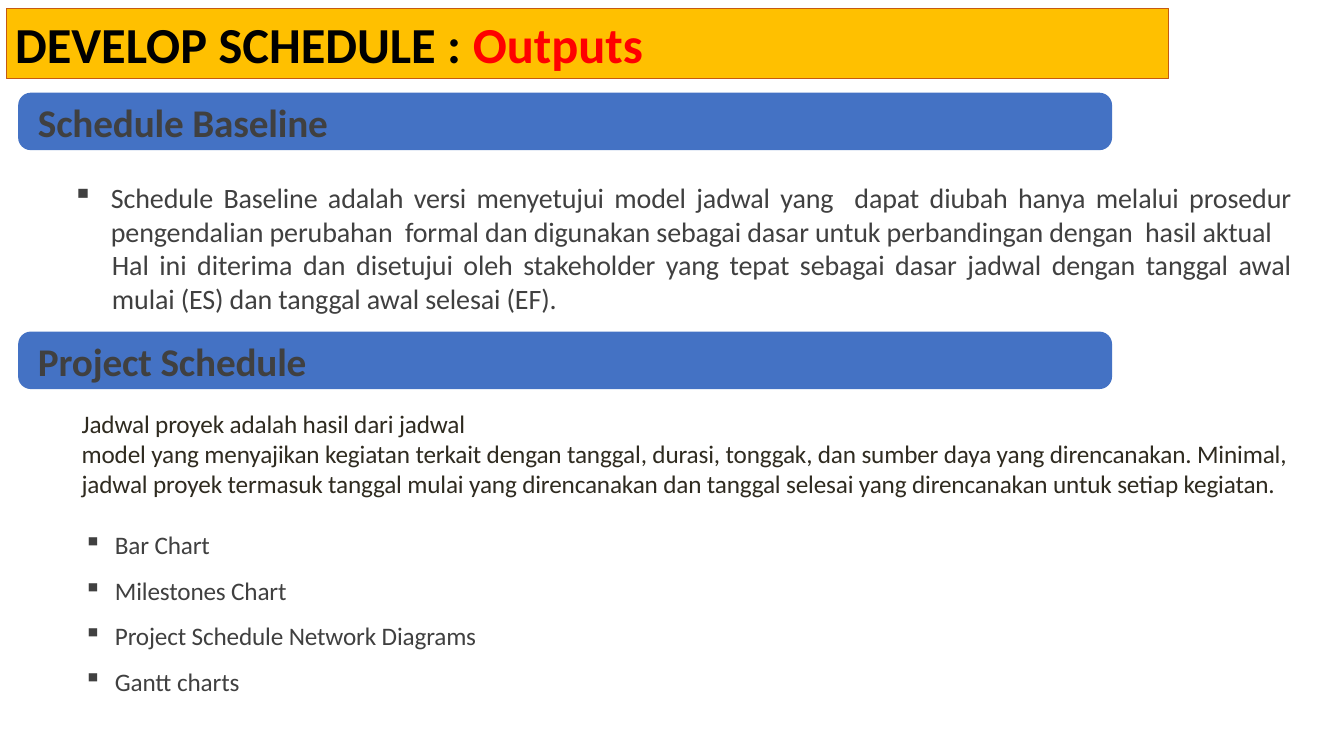
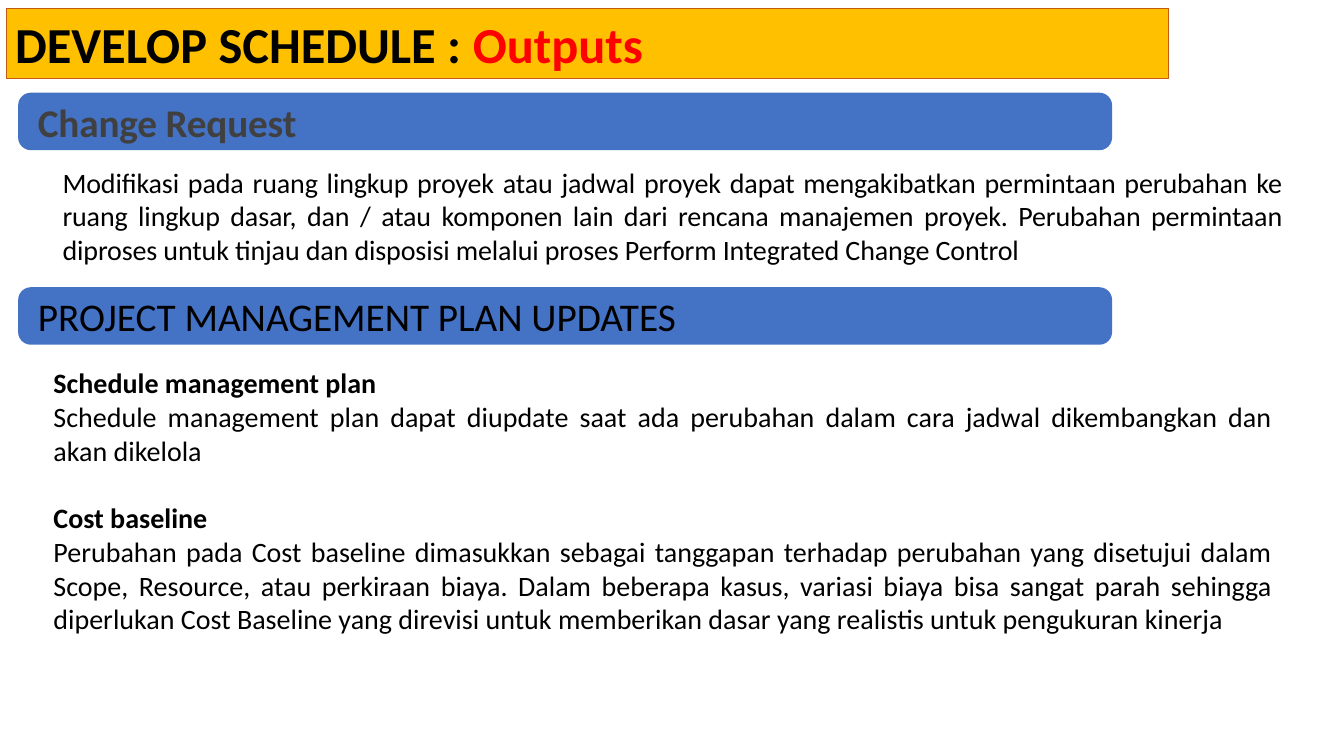
from lxml import etree
from pptx import Presentation
from pptx.dml.color import RGBColor
from pptx.enum.shapes import MSO_SHAPE
from pptx.enum.text import MSO_ANCHOR, MSO_AUTO_SIZE, PP_ALIGN
from pptx.oxml.ns import qn
from pptx.util import Inches, Pt

LEFT, JUSTIFY = PP_ALIGN.LEFT, PP_ALIGN.JUSTIFY
TOP, MIDDLE = MSO_ANCHOR.TOP, MSO_ANCHOR.MIDDLE
ROUNDED = MSO_SHAPE.ROUNDED_RECTANGLE
NO_AUTOFIT = MSO_AUTO_SIZE.NONE

FONT = "Calibri"
AMBER, RUST, BLUE, RED = "FFC000", "C55A11", "4472C4", "FF0000"
BLACK, GRAY, BROWN = "000000", "404040", "2F2B20"
TITLE = [("DEVELOP SCHEDULE : ", BLACK), ("Outputs", RED)]
BAND_LEFT, BAND_WIDTH, BAND_HEIGHT = 0.18, 10.85, 0.57


def color(value):
    return RGBColor.from_string(value)


def format_span(span, size, fill, bold=False, tight=True):
    span.font.name = FONT
    span.font.size = Pt(size)
    span.font.bold = bold
    span.font.color.rgb = color(fill)
    if tight:
        span._r.get_or_add_rPr().set("spc", "-10")


slides = [
    {
        "bands": [
            (0.92, "Schedule Baseline", GRAY, True),
            (3.29, "Project Schedule", GRAY, True),
        ],
        "bodies": [
            {
                "at": (0.71, 1.79, 12.09, 1.35), "size": 20, "align": JUSTIFY,
                "paragraphs": [
                    {"text": "Schedule Baseline adalah versi menyetujui model jadwal yang  dapat "
                             "diubah hanya melalui prosedur pengendalian perubahan  formal dan "
                             "digunakan sebagai dasar untuk perbandingan dengan  hasil aktual",
                     "color": GRAY, "indent": 0.39, "hang": 0.38},
                    {"text": "Hal ini diterima dan disetujui oleh stakeholder yang tepat sebagai "
                             "dasar jadwal dengan tanggal awal mulai (ES) dan tanggal awal "
                             "selesai (EF).",
                     "color": GRAY, "indent": 0.4},
                ],
            },
            {
                "at": (0.81, 4.05, 12.11, 3.19), "size": 18, "align": LEFT,
                "paragraphs": [
                    {"text": "Jadwal proyek adalah hasil dari jadwal", "color": BROWN},
                    {"text": "model yang menyajikan kegiatan terkait dengan tanggal, durasi, "
                             "tonggak, dan sumber daya yang direncanakan. Minimal, jadwal proyek "
                             "termasuk tanggal mulai yang direncanakan dan tanggal selesai yang "
                             "direncanakan untuk setiap kegiatan.",
                     "color": BROWN},
                ] + [
                    {"text": text, "color": GRAY, "indent": 0.33, "hang": 0.31, "before": before}
                    for text, before in [
                        ("Bar Chart", 22),
                        ("Milestones Chart", 10.8),
                        ("Project Schedule Network Diagrams", 10.8),
                        ("Gantt charts", 10.8),
                    ]
                ],
            },
        ],
    },
    {
        "bands": [
            (0.92, "Change Request", GRAY, True),
            (2.85, "PROJECT MANAGEMENT PLAN UPDATES", BLACK, False),
        ],
        "bodies": [
            {
                "at": (0.62, 1.64, 12.09, 1.01), "size": 20, "align": JUSTIFY,
                "paragraphs": [
                    {"text": "Modifikasi pada ruang lingkup proyek atau jadwal proyek dapat "
                             "mengakibatkan permintaan perubahan ke ruang lingkup dasar, dan / "
                             "atau komponen lain dari rencana manajemen proyek. Perubahan "
                             "permintaan diproses untuk tinjau dan disposisi melalui proses "
                             "Perform Integrated Change Control"},
                ],
            },
            {
                "at": (0.53, 3.63, 12.09, 2.69), "size": 20, "align": JUSTIFY, "tight": False,
                "paragraphs": [
                    {"text": "Schedule management plan", "bold": True},
                    {"text": "Schedule management plan dapat diupdate saat ada perubahan dalam "
                             "cara jadwal dikembangkan dan akan dikelola"},
                    {"text": "Cost baseline", "bold": True, "before": 24.4},
                    {"text": "Perubahan pada Cost baseline dimasukkan sebagai tanggapan terhadap "
                             "perubahan yang disetujui dalam Scope, Resource, atau perkiraan "
                             "biaya. Dalam beberapa kasus, variasi biaya bisa sangat parah "
                             "sehingga diperlukan Cost Baseline yang direvisi untuk memberikan "
                             "dasar yang realistis untuk pengukuran kinerja"},
                ],
            },
        ],
    },
]

deck = Presentation()
deck.slide_width = Inches(13.33)
deck.slide_height = Inches(7.5)
title_only = deck.slide_layouts[5]

for content in slides:
    page = deck.slides.add_slide(title_only)

    title = page.shapes.title
    title.left, title.top = Inches(0.06), Inches(0.08)
    title.width, title.height = Inches(11.53), Inches(0.7)
    title.fill.solid()
    title.fill.fore_color.rgb = color(AMBER)
    title.line.color.rgb = color(RUST)
    title.line.width = Pt(0.75)
    frame = title.text_frame
    frame.auto_size = NO_AUTOFIT
    frame.vertical_anchor = TOP
    frame.margin_left = frame.margin_right = Inches(0.09)
    frame.margin_top = frame.margin_bottom = Inches(0.05)
    para = frame.paragraphs[0]
    para.alignment = LEFT
    for text, fill in TITLE:
        span = para.add_run()
        span.text = text
        format_span(span, 36, fill, bold=True, tight=False)

    for top, text, fill, bold in content["bands"]:
        band = page.shapes.add_shape(ROUNDED, Inches(BAND_LEFT), Inches(top),
                                     Inches(BAND_WIDTH), Inches(BAND_HEIGHT))
        band.adjustments[0] = 0.22
        band.shadow.inherit = False
        band.fill.solid()
        band.fill.fore_color.rgb = color(BLUE)
        band.line.fill.background()
        frame = band.text_frame
        frame.text = text
        frame.vertical_anchor = MIDDLE
        frame.margin_left = frame.margin_right = Inches(0.16)
        frame.margin_top = frame.margin_bottom = 0
        para = frame.paragraphs[0]
        para.alignment = LEFT
        format_span(para.runs[0], 28, fill, bold, tight=bold)

    for body in content["bodies"]:
        box = page.shapes.add_textbox(*[Inches(length) for length in body["at"]])
        frame = box.text_frame
        frame.word_wrap = True
        frame.margin_left = frame.margin_right = 0
        frame.margin_top = frame.margin_bottom = 0
        for index, item in enumerate(body["paragraphs"]):
            para = frame.paragraphs[0] if index == 0 else frame.add_paragraph()
            para.text = item["text"]
            properties = para._p.get_or_add_pPr()
            properties.set("marL", str(Inches(item.get("indent", 0))))
            properties.set("indent", str(-Inches(item.get("hang", 0))))
            if "hang" in item:
                etree.SubElement(properties, qn("a:buChar")).set("char", "▪")
            para.alignment = body["align"]
            if "before" in item:
                para.space_before = Pt(item["before"])
            format_span(para.runs[0], body["size"], item.get("color", BLACK),
                        item.get("bold", False), body.get("tight", True))

deck.save("out.pptx")
